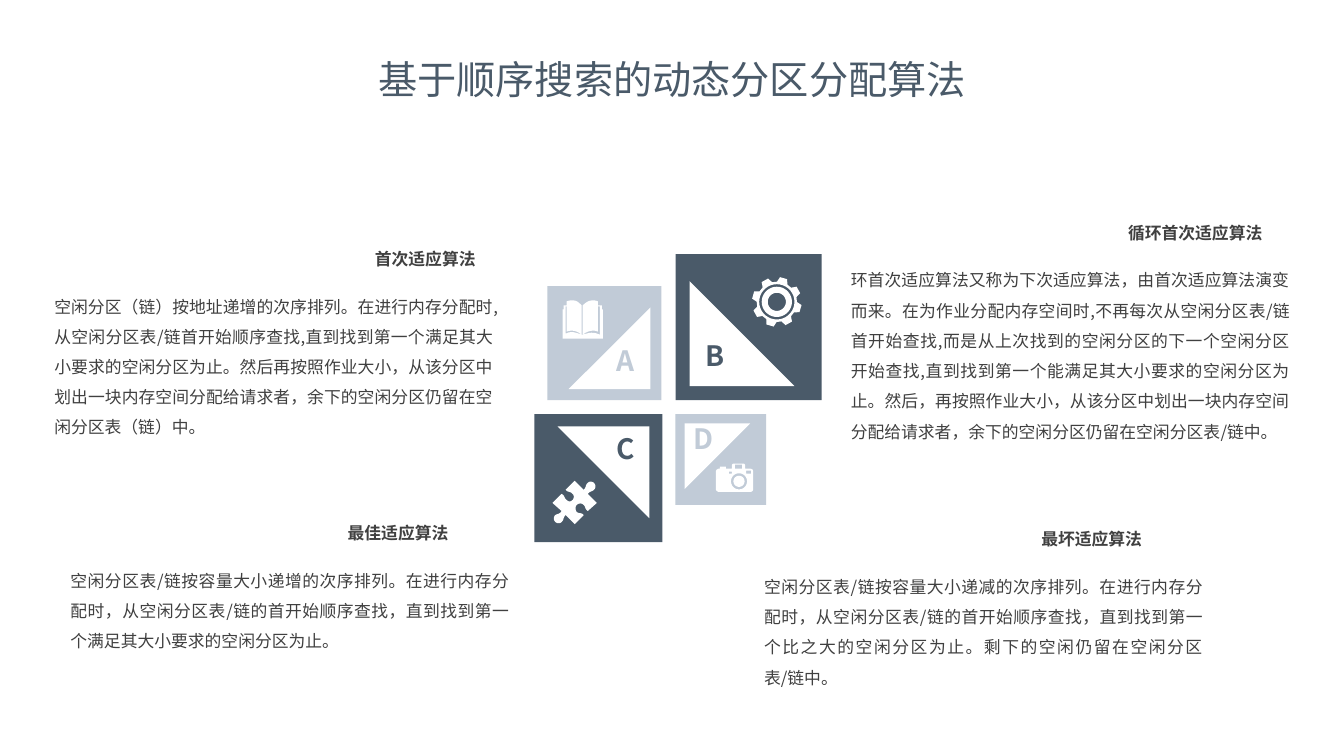
import math
from dataclasses import dataclass

import pptx
import pptx.dml.color
import pptx.enum.shapes
import pptx.enum.text
import pptx.oxml.ns
import pptx.util
from lxml import etree

EMU_PER_PX = 9144  # 100 px to the inch
CURVE_STEPS = 6
ALIGN = pptx.enum.text.PP_ALIGN
SHAPE = pptx.enum.shapes.MSO_SHAPE
Point = tuple[float, float]
Contour = list[Point]


@dataclass(frozen=True)
class Theme:
    font: str = "Noto Sans CJK SC"
    dark: str = "4A5A69"
    pale: str = "C1CBD7"
    white: str = "FFFFFF"
    ink: str = "404040"
    title_size: int = 28
    letter_size: int = 20
    body_size: int = 12


THEME = Theme()


@dataclass(frozen=True)
class Box:
    left: int
    top: int
    width: int
    height: int

    def emu(self) -> list[int]:
        return [px(side) for side in (self.left, self.top, self.width, self.height)]


@dataclass(frozen=True)
class Tile:
    letter: str
    color: str
    square: Box
    triangle: Box
    turn: int
    letter_at: Point


@dataclass(frozen=True)
class Algorithm:
    name: str
    name_box: Box
    text: str
    text_box: Box


TILES = [
    Tile("A", THEME.pale, Box(543, 284, 113, 113), Box(564, 305, 81, 81), 270, (595, 336)),
    Tile("B", THEME.dark, Box(670, 252, 145, 145), Box(684, 279, 104, 104), 0, (684, 331)),
    Tile("C", THEME.dark, Box(530, 411, 127, 127), Box(553, 423, 91, 91), 180, (595, 423)),
    Tile("D", THEME.pale, Box(670, 411, 90, 90), Box(679, 420, 65, 65), 90, (672, 413)),
]

ALGORITHMS = [
    Algorithm(
        "首次适应算法", Box(362, 242, 120, 30),
        "空闲分区（链）按地址递增的次序排列。在进行内存分配时,从空闲分区表/链首开始顺序查找,"
        "直到找到第一个满足其大小要求的空闲分区为止。然后再按照作业大小，从该分区中划出一块内存空间"
        "分配给请求者，余下的空闲分区仍留在空闲分区表（链）中。",
        Box(44, 279, 455, 163)),
    Algorithm(
        "循环首次适应算法", Box(1109, 216, 164, 30),
        "环首次适应算法又称为下次适应算法，由首次适应算法演变而来。在为作业分配内存空间时,"
        "不再每次从空闲分区表/链首开始查找,而是从上次找到的空闲分区的下一个空闲分区开始查找,"
        "直到找到第一个能满足其大小要求的空闲分区为止。然后，再按照作业大小，从该分区中划出一块内存空间"
        "分配给请求者，余下的空闲分区仍留在空闲分区表/链中。",
        Box(834, 253, 455, 188)),
    Algorithm(
        "最佳适应算法", Box(335, 514, 164, 30),
        "空闲分区表/链按容量大小递增的次序排列。在进行内存分配时，从空闲分区表/链的首开始顺序查找，"
        "直到找到第一个满足其大小要求的空闲分区为止。",
        Box(60, 551, 455, 97)),
    Algorithm(
        "最坏适应算法", Box(1023, 520, 164, 30),
        "空闲分区表/链按容量大小递减的次序排列。在进行内存分配时，从空闲分区表/链的首开始顺序查找，"
        "直到找到第一个比之大的空闲分区为止。剩下的空闲仍留在空闲分区表/链中。",
        Box(748, 557, 455, 128)),
]

# Icon outlines in px: M starts, L draws a line, C draws a cubic curve
BOOK = """M 577 332 C 577 332 578 333 578 332 C 585 330 588 329 595 332 L 595 304 L 593 304
C 593 312 593 320 593 329 C 589 327 583 328 578 332 L 578 303 C 581 300 584 298 588 298
C 589 298 591 298 593 299 L 593 303 L 597 303 L 597 307 L 598 307 L 598 336 L 558 336
L 558 307 L 559 307 L 559 303 L 562 303 L 562 299 C 565 298 566 298 568 298
C 572 298 574 300 577 303 L 577 332 C 572 328 567 327 562 329 L 562 304 L 561 304
L 561 331 C 567 328 571 330 577 332"""
PUZZLE = """M 589 479 C 591 481 591 483 590 485 C 588 488 585 487 583 490 L 592 499 L 583 507
C 580 505 581 503 579 501 C 577 499 574 499 572 501 C 571 502 570 505 572 508
C 575 510 576 508 579 511 L 570 520 L 561 511 C 558 514 560 515 557 518
C 555 520 552 519 551 518 C 549 516 549 514 550 512 C 552 509 555 511 557 507
L 548 499 L 557 490 C 561 492 559 494 562 496 C 564 498 566 498 568 496
C 569 495 570 492 568 490 C 565 487 564 489 561 486 L 570 477 L 579 486
C 582 483 580 482 583 479 C 585 477 588 478 589 479"""
CAMERA = """M 727 460 L 738 460 L 739 461 L 739 465 L 744 465 C 746 465 747 466 747 468 L 747 485
C 747 487 746 488 744 488 L 713 488 C 712 488 710 487 710 485 L 710 468
C 710 466 712 465 713 465 L 714 465 L 714 463 L 720 463 L 720 465 L 726 465 L 726 461
M 723 468 L 723 470 L 726 470 L 726 468 M 740 467 L 740 470 L 745 470 L 745 467
M 729 461 L 729 465 L 736 465 L 736 461"""


def px(length: float) -> int:
    return round(length * EMU_PER_PX)


def rgb(color: str) -> pptx.dml.color.RGBColor:
    return pptx.dml.color.RGBColor.from_string(color)


def curve(start: Point, a: Point, b: Point, end: Point) -> Contour:
    steps = [i / CURVE_STEPS for i in range(1, CURVE_STEPS + 1)]
    return [tuple((1 - t) ** 3 * s + 3 * (1 - t) ** 2 * t * p + 3 * (1 - t) * t * t * q + t ** 3 * e
                  for s, p, q, e in zip(start, a, b, end)) for t in steps]


def outline(drawing: str) -> list[Contour]:
    tokens = iter(drawing.split())
    contours: list[Contour] = []
    for command in tokens:
        count = 3 if command == "C" else 1
        points = [(float(next(tokens)), float(next(tokens))) for _ in range(count)]
        if command == "M":
            contours.append(points)
        elif command == "L":
            contours[-1] += points
        else:
            contours[-1] += curve(contours[-1][-1], *points)
    return contours


def polar(center: Point, radius: float, degrees: float) -> Point:
    angle = math.radians(degrees)
    return center[0] + radius * math.cos(angle), center[1] + radius * math.sin(angle)


def circle(center: Point, radius: float) -> Contour:
    return [polar(center, radius, degrees) for degrees in range(0, 360, 10)]


def gear(center: Point) -> list[Contour]:
    tooth = [(20, -15.5), (24.7, -8.5), (24.7, 8.5), (20, 15.5)]
    rim = [polar(center, radius, start + offset)
           for start in range(16, 376, 45) for radius, offset in tooth]
    return [rim] + [circle(center, radius) for radius in (17.5, 15, 9)]


def finish(shape: pptx.shapes.autoshape.Shape, color: str) -> None:
    shape.shadow.inherit = False
    shape.fill.solid()
    shape.fill.fore_color.rgb = rgb(color)
    shape.line.fill.background()


def add_icon(slide: pptx.slide.Slide, contours: list[Contour]) -> None:
    scaled = [[(px(x), px(y)) for x, y in contour] for contour in contours]
    builder = slide.shapes.build_freeform(*scaled[0][0], scale=1.0)
    builder.add_line_segments(scaled[0][1:], close=True)
    for contour in scaled[1:]:
        builder.move_to(*contour[0])
        builder.add_line_segments(contour[1:], close=True)
    finish(builder.convert_to_shape(), THEME.white)


def add_text(slide: pptx.slide.Slide, box: Box, text: str, size: int, color: str,
             align: ALIGN, bold: bool = False, spacing: float = 1.0, wrap: bool = True) -> None:
    frame = slide.shapes.add_textbox(*box.emu()).text_frame
    frame.word_wrap = wrap
    frame.auto_size = pptx.enum.text.MSO_AUTO_SIZE.SHAPE_TO_FIT_TEXT
    paragraph = frame.paragraphs[0]
    paragraph.text = text
    paragraph.alignment = align
    paragraph.line_spacing = spacing
    paragraph.font.size = pptx.util.Pt(size)
    paragraph.font.bold = bold
    paragraph.font.color.rgb = rgb(color)
    paragraph.font.name = THEME.font
    latin = next(paragraph._p.iter(pptx.oxml.ns.qn("a:latin")))
    east_asian = etree.Element(pptx.oxml.ns.qn("a:ea"), typeface=THEME.font)
    latin.addnext(east_asian)


def add_tile(slide: pptx.slide.Slide, tile: Tile) -> None:
    finish(slide.shapes.add_shape(SHAPE.RECTANGLE, *tile.square.emu()), tile.color)
    triangle = slide.shapes.add_shape(SHAPE.RIGHT_TRIANGLE, *tile.triangle.emu())
    triangle.rotation = tile.turn
    finish(triangle, THEME.white)
    add_text(slide, Box(*tile.letter_at, 51, 44), tile.letter, THEME.letter_size,
             tile.color, ALIGN.CENTER, bold=True)


def main() -> None:
    deck = pptx.Presentation()
    deck.slide_width, deck.slide_height = px(1333), px(750)
    slide = deck.slides.add_slide(deck.slide_layouts[6])

    # Title
    add_text(slide, Box(362, 50, 609, 57), "基于顺序搜索的动态分区分配算法",
             THEME.title_size, THEME.dark, ALIGN.CENTER, wrap=False)

    # Lettered tiles and their icons
    for tile in TILES:
        add_tile(slide, tile)
    lens = (733, 477.5)
    camera = outline(CAMERA) + [circle(lens, 8), circle(lens, 5.5)]
    for icon in (outline(BOOK), gear((770.5, 299.5)), outline(PUZZLE), camera):
        add_icon(slide, icon)

    # Algorithm descriptions
    for algorithm in ALGORITHMS:
        add_text(slide, algorithm.text_box, algorithm.text, THEME.body_size, THEME.ink,
                 ALIGN.JUSTIFY, spacing=1.5)
        add_text(slide, algorithm.name_box, algorithm.name, THEME.body_size, THEME.ink,
                 ALIGN.JUSTIFY, bold=True)

    deck.save("out.pptx")


if __name__ == "__main__":
    main()
